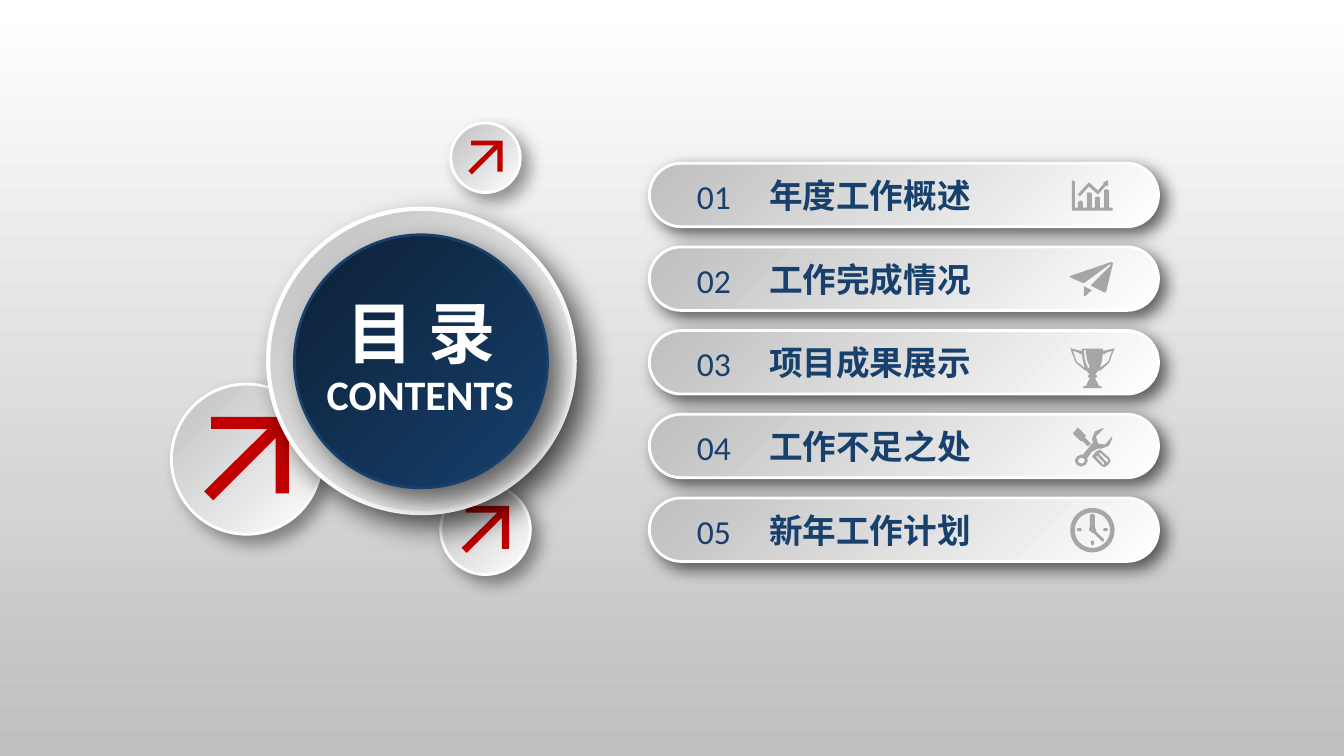
from math import cos, pi, sin

from lxml.etree import SubElement
from pptx import Presentation
from pptx.dml.color import RGBColor
from pptx.enum.shapes import MSO_SHAPE
from pptx.enum.text import MSO_ANCHOR, MSO_AUTO_SIZE, PP_ALIGN
from pptx.oxml.ns import qn
from pptx.util import Inches, Pt

COLORS = {"white": "FFFFFF", "silver": "BFBFBF", "gray": "A6A6A6",
          "navy": "17406D", "midnight": "0C2036", "red": "C00000", "black": "000000"}
LATIN, CHINESE = "Calibri", "Noto Sans CJK SC"
CELL = Inches(0.1)  # side of one square grid cell
FINE = 100          # outline steps per cell


def contours(text):
    """Read contours, one a line, of x,y points in hundredths of an inch."""
    return [[tuple(float(number) for number in point.split(","))
             for point in line.split()] for line in text.strip().splitlines()]


def ring(x, y, radius, steps=48):
    return [(x + radius * cos(2 * pi * step / steps), y + radius * sin(2 * pi * step / steps))
            for step in range(steps)]


ARROW = contours("71,76 71,21 9,83 0,74 63,12 7,12 7,0 84,0 84,76")
CHART = contours("""
20,23 11,33 9,31 18,21 20,19 29,27 35,20 34,19 39,17 39,21 38,23 37,22 29,31
43,44 44,46 43,47 4,47 3,46 3,18 4,17 6,18 6,44 9,44 9,39 11,37 13,37 14,39 14,44 18,44 18,30 19,29 21,29 23,30 23,44 26,44 26,34 28,33 30,33 31,34 31,44 35,44 35,27 36,26 38,26 40,27 40,44
""")
PLANE = contours("""
15,48 16,49 23,43 15,39
42,15 1,29 1,30 10,34 15,36 41,17 42,18 23,37 22,39 23,39 35,45 37,45 44,16
""")
TROPHY = contours("""
15,20 16,29 19,37 20,37 21,36 18,29 17,20 16,19
16,37 14,30 13,22 12,24 10,22 4,20 8,31
34,22 33,30 31,37 39,31 43,20 37,22 35,24
15,55 17,55 21,47 20,47 19,45 20,44 21,44 17,39 17,40 7,32 2,19 2,17 3,18 12,20 13,20 13,18 34,18 34,20 35,20 44,18 45,17 45,19 40,32 31,40 30,39 26,44 27,44 28,45 28,46 27,47 26,47 30,55 32,55 33,57 14,57
""")
TOOLS = contours("""
39,47 37,47 30,39 31,38 39,45
35,50 34,50 27,42 28,41 35,48
31,35 27,37 23,42 32,51 35,52.5 38,51 40,49 41.5,46 40,43
13,26 19,32 22,29 16,23 17,21 9,13 4,19 12,27
13,49 10,48 9,46 10,44 13,43 15,44 16,46 15,48
29,34 33,34 40,31 43,24 43,22 36,30 29,29 27,22 35,14 33,14 26,17 23,24 24,28 14,40 12,40 8,42 6,46 8,50 12,52 17,50 19,46 18,44 23,37
""")
CLOCK = [ring(23.5, 32, 22), ring(23.5, 32, 17.5)] + contours("""
21,17 23.5,15.5 26,17 26,28 27,32 27,33 35,41 34.5,43.5 33,43 25,35 24,35 20,32 21,28
9,30 12,30 13,31.5 12,33 9,33 8,31.5
35,30 38,30 39,31.5 38,33 35,33 34,31.5
22,43 23.5,42 25,43 25,46 23.5,47 22,46
""")


def paint_gradient(fill, start, end, angle):
    fill.gradient()
    fill.gradient_angle = angle
    for stop, color, position in zip(fill.gradient_stops, (start, end), (0, 1)):
        stop.color.rgb = RGBColor.from_string(COLORS[color])
        stop.position = position


def write_text(shape, text, size, color="navy", font=LATIN, bold=False,
               align=PP_ALIGN.LEFT, anchor=MSO_ANCHOR.TOP):
    frame = shape.text_frame
    frame.word_wrap = True
    frame.auto_size = MSO_AUTO_SIZE.NONE
    frame.vertical_anchor = anchor
    paragraph = frame.paragraphs[0]
    paragraph.alignment = align
    run = paragraph.add_run()
    run.text = text
    run.font.size, run.font.bold, run.font.name = Pt(size), bold, font
    run.font.color.rgb = RGBColor.from_string(COLORS[color])
    SubElement(run.font._element, qn("a:ea"), typeface=CHINESE)


class ContentsSlide:
    """Draws elements on one slide; lengths are in grid cells."""

    def __init__(self, presentation):
        self.slide = presentation.slides.add_slide(presentation.slide_layouts[5])
        self.shapes = self.slide.shapes
        paint_gradient(self.slide.background.fill, "silver", "white", 90)

    def group(self):
        """Send the next elements into a new group."""
        self.shapes = self.slide.shapes.add_group_shape().shapes

    def ungroup(self):
        self.shapes = self.slide.shapes

    def box(self, *cells):
        return [round(cell * CELL) for cell in cells]

    def panel(self, kind, *cells, shadow, start="white", end="silver",
              line="white", width=2):
        """Add a raised shape; shadow is opacity, blur and distance."""
        shape = self.shapes.add_shape(kind, *self.box(*cells))
        paint_gradient(shape.fill, start, end, 135)
        shape.line.color.rgb = RGBColor.from_string(COLORS[line])
        shape.line.width = Pt(width)
        shape.shadow.inherit = False
        opacity, blur, distance = shadow
        effects = shape.element.spPr.find(qn("a:effectLst"))
        outer = SubElement(effects, qn("a:outerShdw"), blurRad=str(Pt(blur)),
                           dist=str(Pt(distance)), dir="2700000", algn="tl", rotWithShape="0")
        tone = SubElement(outer, qn("a:srgbClr"), val=COLORS["black"])
        SubElement(tone, qn("a:alpha"), val=str(opacity * 1000))
        return shape

    def outline(self, paths, left, top, color, scale=1):
        """Add one filled outline made of several contours."""
        builder = None
        for path_points in paths:
            points = [(round(x * FINE / 10), round(y * FINE / 10)) for x, y in path_points]
            if builder is None:
                builder = self.shapes.build_freeform(*points[0], scale=CELL * scale / FINE)
            else:
                builder.move_to(*points[0])
            builder.add_line_segments(points[1:], close=True)
        shape = builder.convert_to_shape(*self.box(left, top))
        shape.fill.solid()
        shape.fill.fore_color.rgb = RGBColor.from_string(COLORS[color])
        shape.line.fill.background()
        shape.shadow.inherit = False

    def text(self, text, *cells, **style):
        write_text(self.shapes.add_textbox(*self.box(*cells)), text, **style)

    def title(self, text, *cells, **style):
        """Place the title in front of everything drawn so far."""
        title = self.slide.shapes.title
        title.left, title.top, title.width, title.height = self.box(*cells)
        write_text(title, text, **style)
        self.slide.shapes[-1].element.addnext(title.element)

    def arrow_disc(self, left, top, size, arrow_size):
        self.group()
        self.panel(MSO_SHAPE.OVAL, left, top, size, size, shadow=(40, 12, 8))
        inset = (size - arrow_size) / 2
        self.outline(ARROW, left + inset, top + inset, "red", arrow_size / 8.4)
        self.ungroup()

    def entry(self, number, label, icon, top):
        self.group()
        bar = self.panel(MSO_SHAPE.ROUNDED_RECTANGLE, 64.4, top, 50.5, 6.3, shadow=(60, 12, 6))
        bar.adjustments[0] = 0.5
        self.text(label, 75.3, top + 0.65, 27.1, 5, size=24, font=CHINESE, bold=True)
        self.text(f"{number:02}", 67.5, top + 0.05, 6.6, 6.4, size=24,
                  align=PP_ALIGN.CENTER, anchor=MSO_ANCHOR.MIDDLE)
        self.outline(icon, 106, top, "gray")
        self.ungroup()


def main():
    presentation = Presentation()
    presentation.slide_width, presentation.slide_height = Inches(13.33), Inches(7.5)
    contents = ContentsSlide(presentation)

    for disc in ((17, 38.1, 14.9, 8.4), (43.7, 48.1, 8.9, 4.7), (44.7, 12.2, 6.9, 3.4)):
        contents.arrow_disc(*disc)

    contents.panel(MSO_SHAPE.OVAL, 26.6, 20.7, 30.4, 30.2, shadow=(60, 20, 12), width=3)
    contents.panel(MSO_SHAPE.OVAL, 29.2, 23.3, 25.1, 25.1, shadow=(60, 20, 12),
                   start="navy", end="midnight", line="navy")
    heading = {"color": "white", "bold": True, "align": PP_ALIGN.CENTER}
    contents.title("目 录", 31.5, 28.4, 20.5, 8, size=48, **heading)
    contents.text("CONTENTS", 27.9, 36.1, 27.6, 6.1, size=30, **heading)

    entries = (("年度工作概述", CHART), ("工作完成情况", PLANE), ("项目成果展示", TROPHY),
               ("工作不足之处", TOOLS), ("新年工作计划", CLOCK))
    for index, (label, icon) in enumerate(entries):
        contents.entry(index + 1, label, icon, 16.2 + 8.3 * index)

    presentation.save("out.pptx")


if __name__ == "__main__":
    main()
